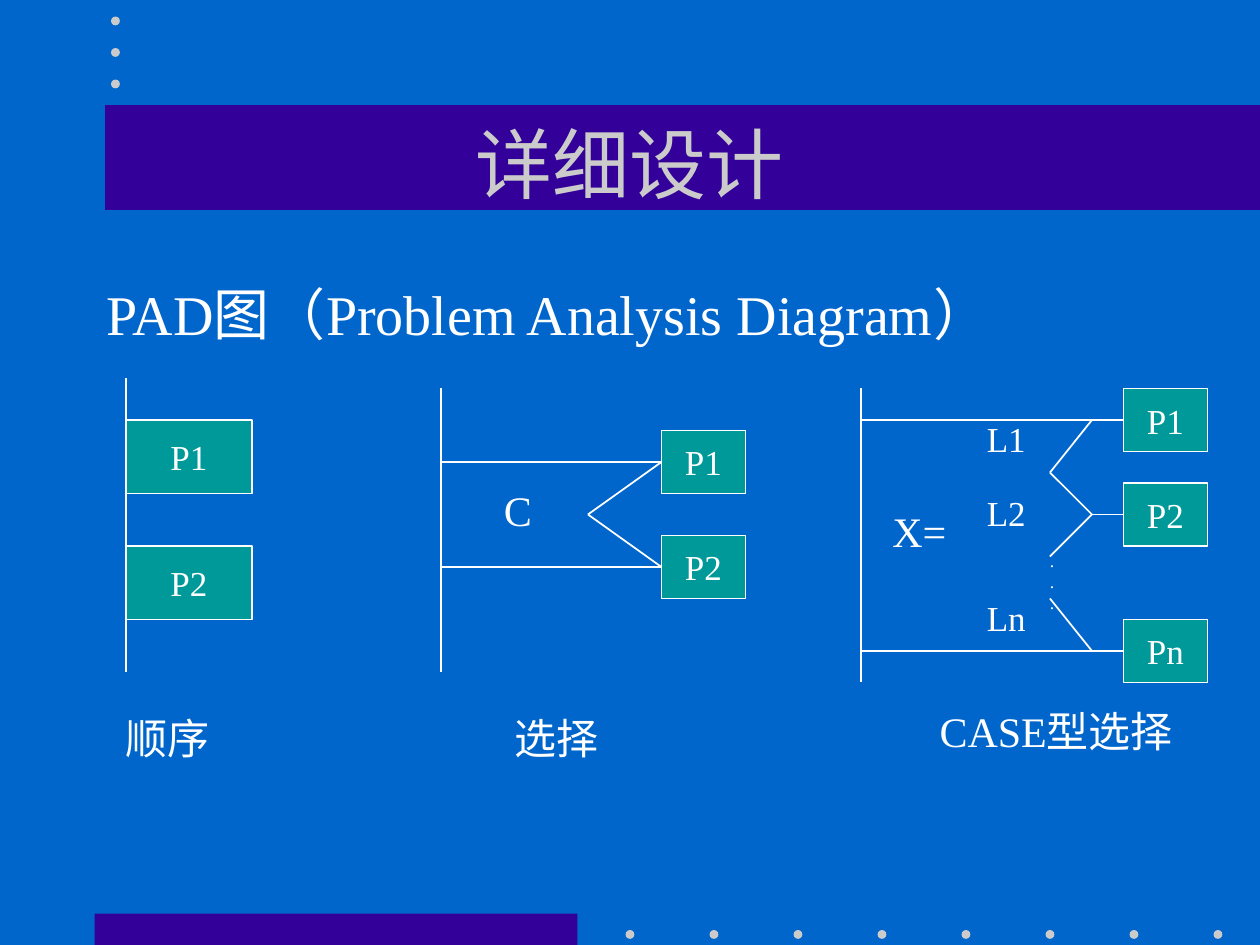
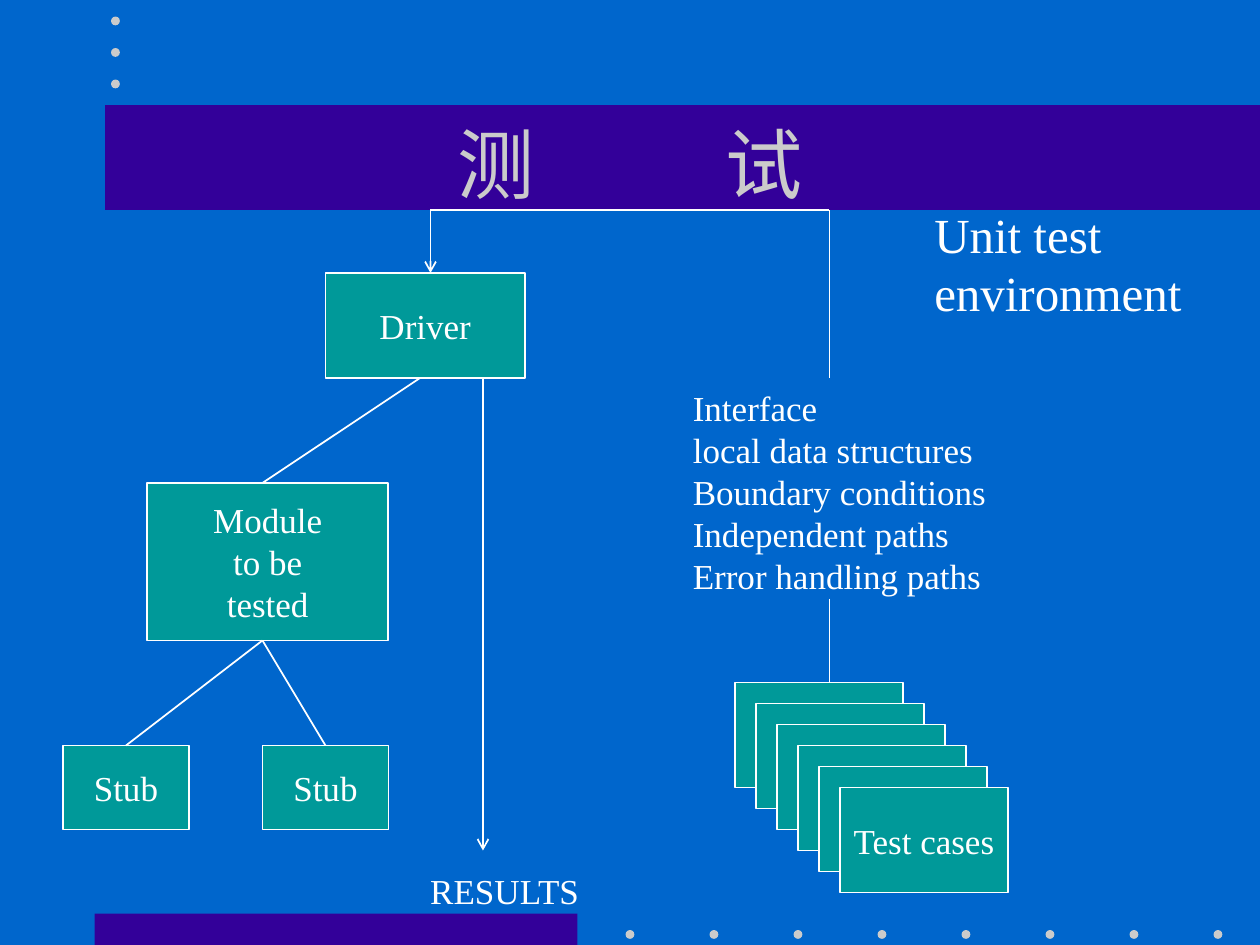
from dataclasses import dataclass

import pptx
import pptx.dml.color
import pptx.enum.shapes
import pptx.enum.text
import pptx.oxml
import pptx.oxml.ns
import pptx.util

SHAPE = pptx.enum.shapes.MSO_SHAPE
ALIGN = pptx.enum.text.PP_ALIGN
ANCHOR = pptx.enum.text.MSO_ANCHOR
FIT = pptx.enum.text.MSO_AUTO_SIZE
STRAIGHT = pptx.enum.shapes.MSO_CONNECTOR.STRAIGHT
COLUMNS, ROWS = 120, 90


@dataclass(frozen=True)
class Theme:
    background: str = "0066CC"
    band: str = "330099"
    dot: str = "CBCBCB"
    block: str = "009999"
    white: str = "FFFFFF"
    font: str = "Times New Roman"
    title: int = 44
    subtitle: int = 32
    heading: int = 28
    caption: int = 24
    body: int = 20
    tiny: int = 10
    line: int = 1
    title_gap: int = 99


@dataclass(frozen=True)
class Box:
    left: float
    top: float
    width: float
    height: float


THEME = Theme()


def cells(count):
    return pptx.util.Inches(count / 12)


def color(value):
    return pptx.dml.color.RGBColor.from_string(value)


def apply(target, values):
    for name, value in values.items():
        setattr(target, name, value)


def format_span(span, size, ink=THEME.white):
    apply(span.font, {"name": THEME.font, "size": pptx.util.Pt(size), "bold": False})
    span.font.color.rgb = color(ink)


def write(frame, lines, size, align=ALIGN.LEFT, anchor=ANCHOR.TOP, wrap=False, fit=FIT.NONE):
    apply(frame, {"word_wrap": wrap, "vertical_anchor": anchor, "auto_size": fit})
    for index, line in enumerate(lines):
        para = frame.add_paragraph() if index else frame.paragraphs[0]
        para.alignment = align
        span = para.add_run()
        span.text = line
        format_span(span, size)


def add_filled(page, kind, box, fill, outlined=False):
    shape = page.shapes.add_shape(kind, *map(cells, (box.left, box.top, box.width, box.height)))
    shape.shadow.inherit = False
    shape.fill.solid()
    shape.fill.fore_color.rgb = color(fill)
    if outlined:
        shape.line.color.rgb = color(THEME.white)
        shape.line.width = pptx.util.Pt(THEME.line)
    else:
        shape.line.fill.background()
    return shape


class Region:
    def __init__(self, page, box):
        self.page = page
        self.box = box
        self.joints = {}

    def place(self, left, top, width, height):
        return Box(self.box.left + left, self.box.top + top, width, height)

    def block(self, left, top, width, height, *lines):
        shape = add_filled(self.page, SHAPE.RECTANGLE, self.place(left, top, width, height),
                           THEME.block, outlined=True)
        write(shape.text_frame, lines, THEME.body, ALIGN.CENTER, ANCHOR.MIDDLE)
        middle, center = left + width / 2, top + height / 2
        sides = [(middle, top), (left, center), (middle, top + height), (left + width, center)]
        for site, point in enumerate(sides):
            self.joints[point] = (shape, site)

    def label(self, left, top, width, height, lines, size=THEME.body, wrap=False):
        box = self.place(left, top, width, height)
        shape = self.page.shapes.add_textbox(*map(cells, (box.left, box.top, box.width, box.height)))
        write(shape.text_frame, lines, size, wrap=wrap,
              fit=FIT.NONE if wrap else FIT.SHAPE_TO_FIT_TEXT)

    def link(self, start, end, arrow=False):
        ends = [cells(origin + offset) for point in (start, end)
                for origin, offset in zip((self.box.left, self.box.top), point)]
        connector = self.page.shapes.add_connector(STRAIGHT, *ends)
        for point, join in ((start, connector.begin_connect), (end, connector.end_connect)):
            if point in self.joints:
                join(*self.joints[point])
        connector.line.color.rgb = color(THEME.white)
        connector.line.width = pptx.util.Pt(THEME.line)
        make = pptx.oxml.ns.qn
        properties = connector.element.spPr
        if arrow:
            head = properties.find(make("a:ln")).makeelement(make("a:tailEnd"), {"type": "arrow"})
            properties.find(make("a:ln")).append(head)
        properties.append(properties.makeelement(make("a:effectLst"), {}))

    def chain(self, *points):
        for start, end in zip(points, points[1:]):
            self.link(start, end)


def draw_master(deck, page):
    bands = [Box(9, 87, 46, 3), Box(10, 10, 110, 10)]
    centers = [(60 + 8 * step, 89) for step in range(8)] + [(11, 2 + 3 * step) for step in range(3)]
    diameter = 0.84
    shapes = [add_filled(page, SHAPE.RECTANGLE, band, THEME.band) for band in bands]
    for across, down in centers:
        dot = Box(across - diameter / 2, down - diameter / 2, diameter, diameter)
        shapes.append(add_filled(page, SHAPE.OVAL, dot, THEME.dot))
    master = deck.slide_master
    master.background.fill.solid()
    master.background.fill.fore_color.rgb = color(THEME.background)
    for index, shape in enumerate(shapes):
        shape.element.nvSpPr.cNvPr.set("id", str(100 + index))
        master.shapes.element.insert(2 + index, shape.element)


def add_page(deck, title):
    page = deck.slides.add_slide(deck.slide_layouts[5])
    holder = page.shapes.title
    apply(holder, {"left": cells(9), "top": cells(8), "width": cells(102), "height": cells(15)})
    apply(holder.text_frame, {"vertical_anchor": ANCHOR.MIDDLE, "word_wrap": True,
                              "auto_size": FIT.NONE})
    para = holder.text_frame.paragraphs[0]
    para.alignment = ALIGN.CENTER
    for part in filter(None, title.partition(" ")):
        span = para.add_run()
        span.text = part
        format_span(span, THEME.title, THEME.dot)
        if part == " ":
            span.font._element.set("spc", str(THEME.title_gap * 100))
    return page


def draw_sequence(page, box):
    region = Region(page, box)
    for step, name in enumerate(("P1", "P2")):
        region.block(0, 4 + 12 * step, box.width, 7, name)
    region.link((0, 0), (0, box.height))
    region.label(-1.2, 31.3, 10.4, 6, ["顺序"], THEME.caption)


def draw_choice(page, box):
    region = Region(page, box)
    right = box.width - 8
    region.link((0, 0), (0, box.height))
    for name, row in (("P1", 7), ("P2", 17)):
        region.block(right, row - 3, 8, 6, name)
        region.link((0, row), (right, row))
    region.chain((right, 7), (14, 12), (right, 17))
    region.label(4.8, 8.6, 5, 6, ["C"], THEME.caption)
    region.label(5.8, 30.3, 10.4, 6, ["选择"], THEME.caption)


def draw_case(page, box):
    region = Region(page, box)
    right = box.width - 8
    fork, notch = right - 3, right - 7
    region.link((0, 0), (0, box.height))
    for name, row, start in (("P1", 3, 0), ("P2", 12, fork), ("Pn", 25, 0)):
        region.block(right, row - 3, 8, 6, name)
        region.link((start, row), (right, row))
    region.chain((fork, 3), (notch, 8), (fork, 12), (notch, 16))
    region.link((notch, 20), (fork, 25))
    region.label(16.8, 14.8, 2.8, 7.2, [".", ".", "."], THEME.tiny)
    region.label(1.8, 10.55, 7.6, 6, ["X="], THEME.caption)
    for name, top in (("L1", 2.2), ("L2", 9.2), ("Ln", 19.2)):
        region.label(10.8, top, 6.1, 5.3, [name])
    region.label(6.3, 29.6, 25.6, 6, ["CASE型选择"], THEME.caption)


def draw_module_tree(page, box):
    region = Region(page, box)
    region.block(25, 6, 19, 10, "Driver")
    region.block(8, 26, 23, 15, "Module", "to be", "tested")
    region.link((34, 16), (19, 26))
    for left in (0, 19):
        region.block(left, 51, 12, 8, "Stub")
        region.link((19, 41), (left + 6, 51))
    region.link((40, 16), (40, 61), arrow=True)
    region.label(33.8, 62.2, 16.8, 5.3, ["RESULTS"])


def draw_test_flow(page, box):
    region = Region(page, box)
    trunk = 38
    region.chain((trunk, 16), (trunk, 0), (0, 0))
    region.link((0, 0), (0, 6), arrow=True)
    region.label(23.8, 16.2, 30.4, 21.2, ["Interface", "local data structures",
                 "Boundary conditions", "Independent paths", "Error handling paths"])
    cards = 6
    for step in range(cards):
        lines = ["Test cases"] if step == cards - 1 else []
        region.block(29 + 2 * step, 45 + 2 * step, 16, 10, *lines)
    region.link((trunk, 37), (trunk, 45))
    region.label(46.8, -1.15, 26, 12.5, ["Unit test", "environment"], THEME.heading)


def main():
    deck = pptx.Presentation()
    apply(deck, {"slide_width": cells(COLUMNS), "slide_height": cells(ROWS)})

    page = add_page(deck, "详细设计")
    draw_master(deck, page)
    Region(page, Box(9, 26, 102, 54)).label(
        0, 0, 102, 54, ["PAD图（Problem Analysis Diagram）"], THEME.subtitle, wrap=True)
    draw_sequence(page, Box(12, 36, 12, 28))
    draw_choice(page, Box(42, 37, 29, 27))
    draw_case(page, Box(82, 37, 33, 28))

    page = add_page(deck, "测 试")
    draw_module_tree(page, Box(6, 20, 44, 67))
    draw_test_flow(page, Box(41, 20, 72, 65))
    deck.save("out.pptx")


if __name__ == "__main__":
    main()
